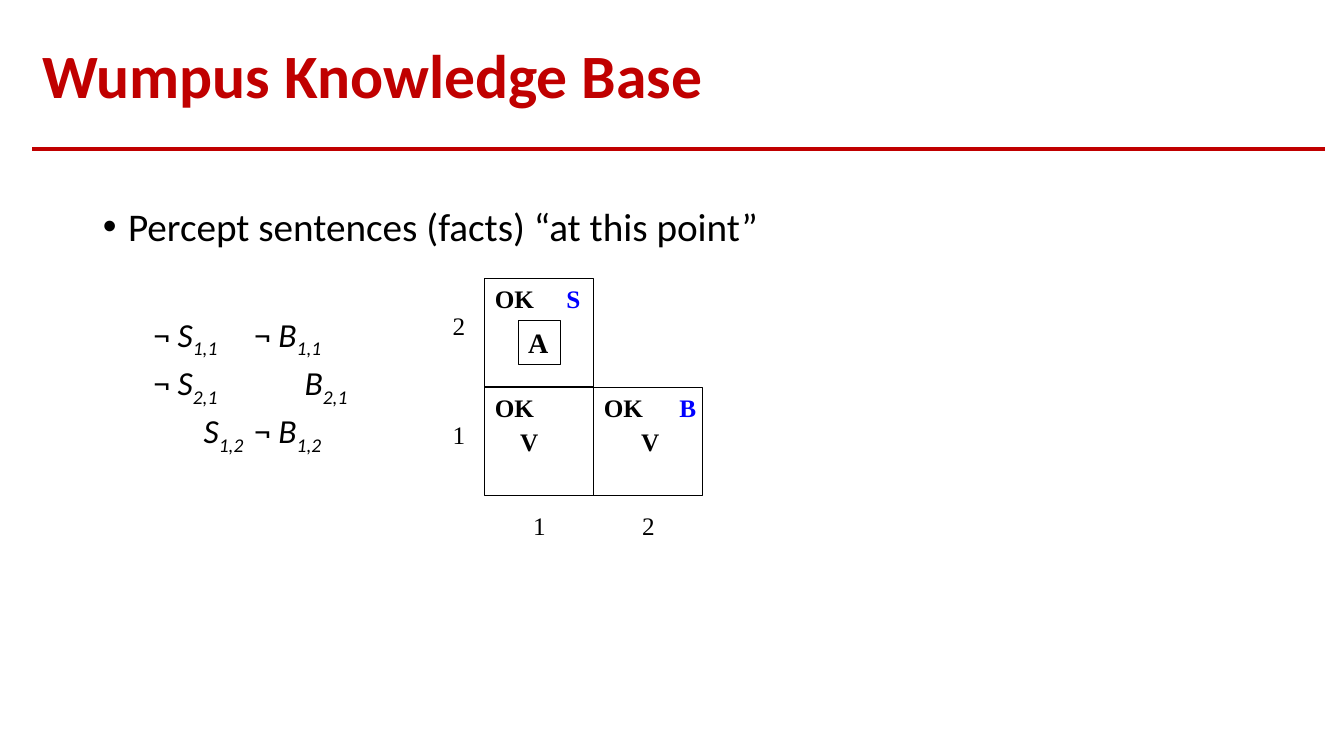
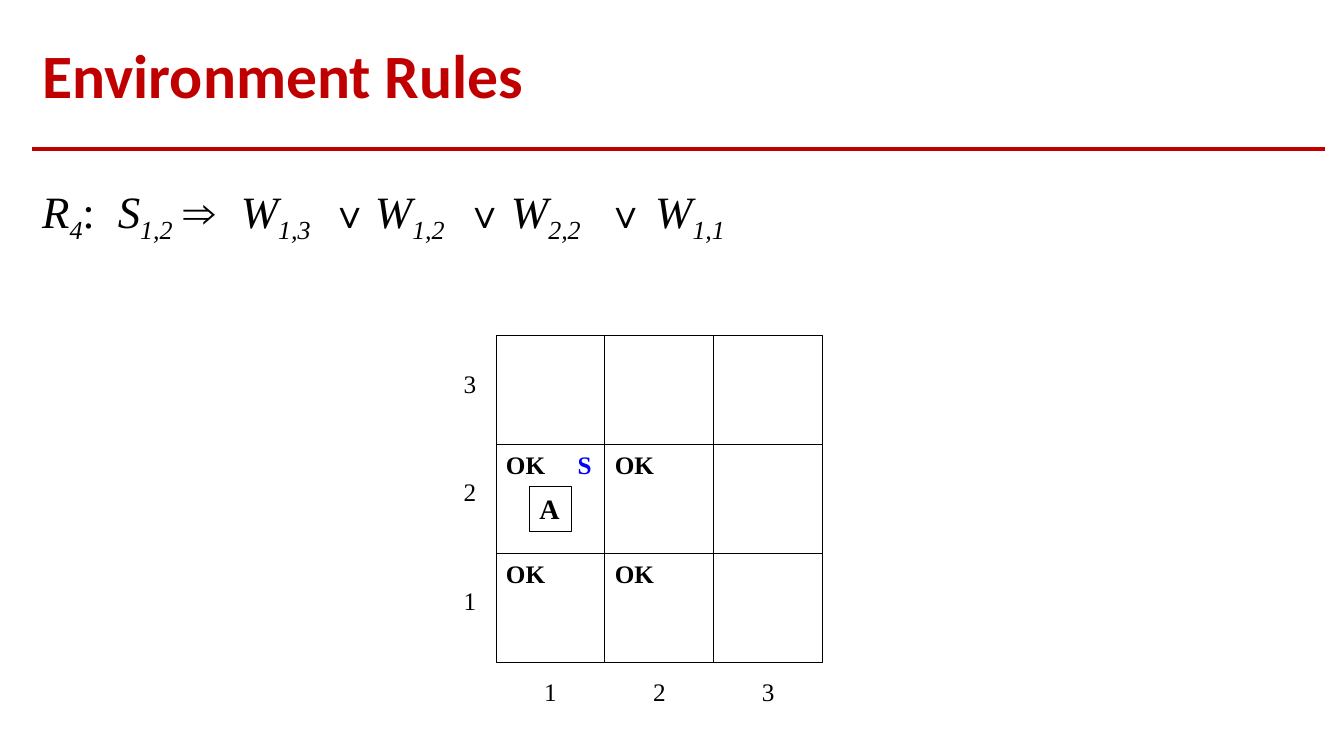
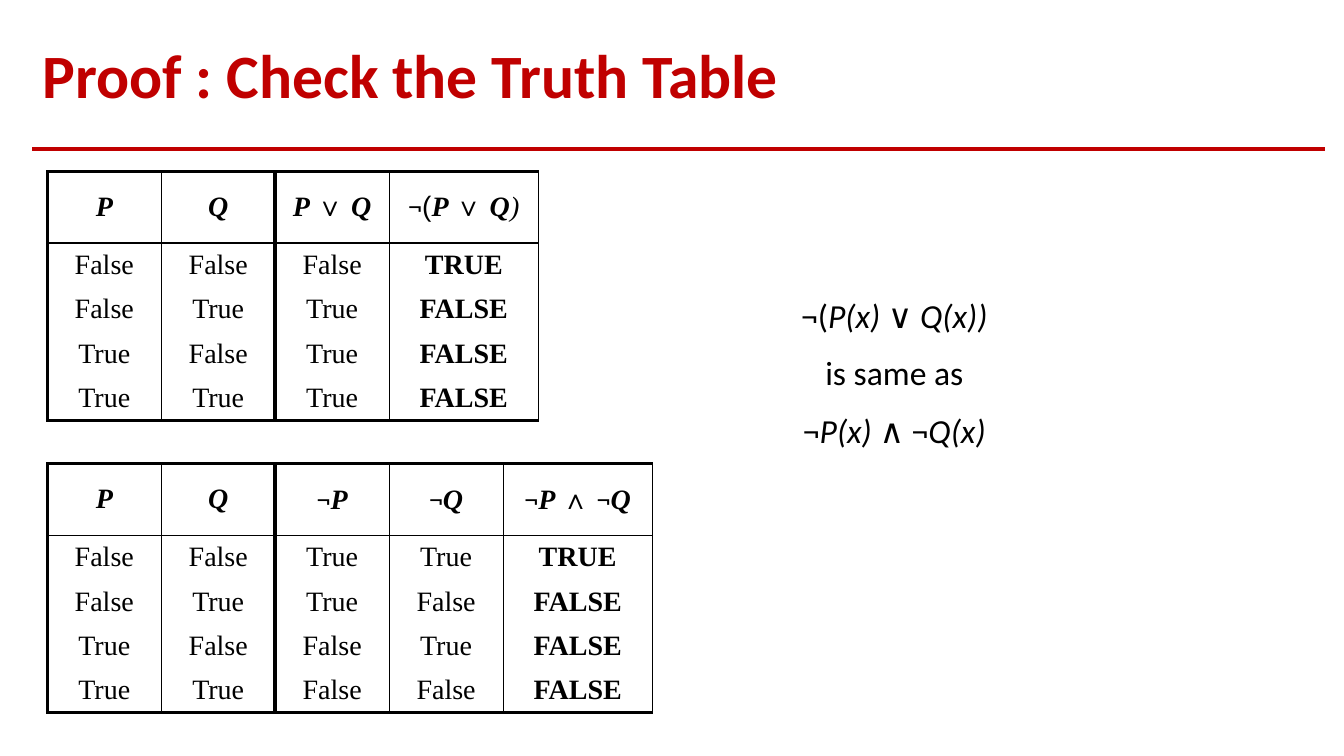
from dataclasses import dataclass, field
from typing import NamedTuple

from lxml.etree import SubElement
from pptx import Presentation
from pptx.dml.color import RGBColor
from pptx.enum.shapes import MSO_CONNECTOR, MSO_SHAPE
from pptx.enum.text import MSO_ANCHOR, PP_ALIGN
from pptx.oxml import parse_xml
from pptx.oxml.ns import nsdecls, qn
from pptx.util import Emu, Inches, Pt

UNIT = Inches(1)


@dataclass(frozen=True)
class Theme:
    """Colours, fonts and type sizes of the deck."""
    accent: str = "C00000"
    ink: str = "000000"
    percept: str = "0000FF"
    paper: str = "FFFFFF"
    sans: str = "Calibri"
    serif: str = "Times New Roman"
    symbol: str = "Arial"
    title: int = 44
    formula: int = 32
    body: int = 28
    detail: int = 24
    cell: int = 20
    mark: int = 18


T = Theme()
TOGGLES = {
    "*": {"italic": True},
    "^": {"bold": True},
    "~": {"name": T.sans},
    "@": {"name": T.symbol},
    "#": {"size": Pt(T.body)},
    "_": {},
}


class Box(NamedTuple):
    """Left, top, width and height in columns and rows of a one-inch grid."""
    col: float
    row: float
    cols: float
    rows: float

    def emu(self) -> tuple[Emu, ...]:
        """Return the four lengths in EMU."""
        return tuple(Emu(round(v * UNIT)) for v in self)


class Mark(NamedTuple):
    """Text in a board square, with its offset from the square's corner."""
    text: str
    square: tuple[int, int]
    dx: float = 0
    dy: float = 0
    color: str = T.ink


@dataclass(frozen=True)
class Board:
    """A cave map whose squares are numbered from the bottom left."""
    left: float
    top: float
    size: int
    squares: list[tuple[int, int]]
    agent: tuple[int, int]
    marks: list[Mark] = field(default_factory=list)
    step: float = 1.08

    def corner(self, col: int, row: int) -> tuple[float, float]:
        """Return the top left corner of a square."""
        return self.left + (col - 1) * self.step, self.top + (self.size - row) * self.step


class Truth(NamedTuple):
    """A truth table with its place, headings and values."""
    col: float
    row: float
    heads: list[str]
    rows: list[str]


TITLE = Box(0.32, 0.28, 12.82, 1)
PERCEPTS = Box(0.92, 2.01, 12.22, 4.74)
FORMULA = Box(0.32, 1.77, 9.7, 0.7)
EQUIVALENCE = Box(6.37, 2.88, 5, 1.65)
PERCEPT_TABS = [0.83, 0.97, 1.83, 2.05]
FORMULA_TABS = [0.75, 1.4, 1.97, 2.86, 3.3, 4.2, 4.65, 5.6, 6.08]


def write(p, text: str, size: int, font: str, color: str = T.ink, **extra) -> None:
    """Add runs to a paragraph, switching formats at toggle signs; a bar is a tab."""
    on: set[str] = set()
    piece = ""
    for ch in text + "_":
        if ch not in TOGGLES:
            piece += chr(9) if ch == "|" else ch
            continue
        if piece:
            r = p.add_run()
            r.text = piece
            fmt = {"size": Pt(size), "name": font, "bold": False, "italic": False, **extra}
            for sign in on:
                fmt.update(TOGGLES[sign])
            for key, value in fmt.items():
                setattr(r.font, key, value)
            r.font.color.rgb = RGBColor.from_string(color)
            if "_" in on:
                r._r.get_or_add_rPr().set("baseline", "-25000")
            piece = ""
        on ^= {ch}


def set_tabs(p, stops: list[float]) -> None:
    """Give a paragraph left tab stops."""
    tabs = SubElement(p._p.get_or_add_pPr(), qn("a:tabLst"))
    for stop in stops:
        SubElement(tabs, qn("a:tab"), pos=str(Inches(stop)), algn="l")


def set_indent(p, left: float, first: float) -> None:
    """Set the left margin and the first line indent."""
    pPr = p._p.get_or_add_pPr()
    pPr.set("marL", str(Inches(left)))
    pPr.set("indent", str(Inches(first)))


def add_text(s, box: Box, text: str, size: int, font: str, color: str = T.ink,
             align=PP_ALIGN.LEFT, wrap: bool = True, **extra):
    """Add a text box with one paragraph and return that paragraph."""
    tf = s.shapes.add_textbox(*box.emu()).text_frame
    tf.word_wrap = wrap
    p = tf.paragraphs[0]
    p.alignment = align
    write(p, text, size, font, color, **extra)
    return p


def add_square(s, box: Box, filled: bool = True):
    """Add an outlined square."""
    sp = s.shapes.add_shape(MSO_SHAPE.RECTANGLE, *box.emu())
    sp.shadow.inherit = False
    if filled:
        sp.fill.solid()
        sp.fill.fore_color.rgb = RGBColor.from_string(T.paper)
    else:
        sp.fill.background()
    sp.line.color.rgb = RGBColor.from_string(T.ink)
    sp.line.width = Pt(0.75)
    return sp


def add_board(s, b: Board) -> None:
    """Draw the squares, marks, agent and axis numbers of a board."""
    for square in b.squares:
        add_square(s, Box(*b.corner(*square), b.step, b.step))
    for m in b.marks:
        x, y = b.corner(*m.square)
        add_text(s, Box(x + m.dx, y + m.dy, 0.67, 0.4), m.text, T.mark, T.serif, m.color,
                 wrap=False, bold=True)
    x, y = b.corner(*b.agent)
    tf = add_square(s, Box(x + 0.33, y + 0.42, 0.42, 0.44), filled=False).text_frame
    tf.vertical_anchor = MSO_ANCHOR.TOP
    tf.paragraphs[0].alignment = PP_ALIGN.LEFT
    write(tf.paragraphs[0], "A", T.cell, T.serif, bold=True)
    for n in range(1, b.size + 1):
        x, y = b.corner(n, n)
        add_text(s, Box(b.left - 0.42, y + 0.27, 0.5, 0.4), str(n), T.mark, T.serif)
        add_text(s, Box(x, b.top + b.size * b.step + 0.09, b.step, 0.4), str(n), T.mark,
                 T.serif, align=PP_ALIGN.CENTER)


def set_borders(cell, widths: dict[str, float]) -> None:
    """Give a cell its four borders; a zero width draws none."""
    tcPr = cell._tc.get_or_add_tcPr()
    for i, (side, width) in enumerate(widths.items()):
        paint = f'<a:solidFill><a:srgbClr val="{T.ink}"/></a:solidFill>' if width else "<a:noFill/>"
        tcPr.insert(i, parse_xml(
            f'<a:ln{side} {nsdecls("a")} w="{Pt(width)}">{paint}</a:ln{side}>'))


def add_truth(s, t: Truth) -> None:
    """Draw a truth table whose last column holds the result."""
    cols = [1.13] * (len(t.heads) - 1) + [1.48]
    heights = [0.71] + [0.44] * len(t.rows)
    box = Box(t.col, t.row, sum(cols), sum(heights))
    tbl = s.shapes.add_table(len(heights), len(cols), *box.emu()).table
    tbl.first_row = tbl.horz_banding = False
    for column, width in zip(tbl.columns, cols):
        column.width = Inches(width)
    for row, height in zip(tbl.rows, heights):
        row.height = Inches(height)
    edges = [2.25, 0.75, 3] + [0.75] * (len(cols) - 2)
    levels = [2.25, 1] + [0] * (len(t.rows) - 1) + [2.25]
    for i, texts in enumerate([t.heads] + [row.split() for row in t.rows]):
        for j, text in enumerate(texts):
            cell = tbl.cell(i, j)
            cell.fill.background()
            set_borders(cell, {"L": edges[j], "R": edges[j + 1],
                               "T": levels[i], "B": levels[i + 1]})
            cell.vertical_anchor = MSO_ANCHOR.MIDDLE
            p = cell.text_frame.paragraphs[0]
            p.alignment = PP_ALIGN.CENTER
            write(p, text, T.cell, T.serif, bold=i > 0 and j == len(cols) - 1)


def add_slide(prs, layout: int, title: str):
    """Add a slide with the deck's title style."""
    s = prs.slides.add_slide(prs.slide_layouts[layout])
    sp = s.shapes.title
    sp.left, sp.top, sp.width, sp.height = TITLE.emu()
    sp.text_frame.vertical_anchor = MSO_ANCHOR.MIDDLE
    p = sp.text_frame.paragraphs[0]
    p.alignment = PP_ALIGN.LEFT
    p.line_spacing = 0.9
    write(p, title, T.title, T.sans, T.accent, bold=True)
    return s


def add_master_rule(prs, s) -> None:
    """Draw the rule under the title and move it to the master."""
    x, y, w, _ = Box(TITLE.col, 1.48, TITLE.cols, 0).emu()
    rule = s.shapes.add_connector(MSO_CONNECTOR.STRAIGHT, x, y, x + w, y)
    rule.line.color.rgb = RGBColor.from_string(T.accent)
    rule.line.width = Pt(2.5)
    SubElement(rule.element.spPr, qn("a:effectLst"))
    rule.element[0][0].set("id", "20")
    prs.slide_master.shapes.element.append(rule.element)


def knowledge_slide(prs) -> None:
    """Build the slide with the percept sentences."""
    s = add_slide(prs, 1, "Wumpus Knowledge Base")
    add_master_rule(prs, s)
    body = s.placeholders[1]
    body.left, body.top, body.width, body.height = PERCEPTS.emu()
    tf = body.text_frame
    p = tf.paragraphs[0]
    p.line_spacing, p.space_before = 0.9, Pt(0)
    set_indent(p, 0.25, -0.25)
    write(p, "Percept sentences (facts) “at this point”", T.body, T.sans)
    facts = ["|¬ *S_1,1_*|¬ *B_1,1_*", "|¬ *S_2,1_*||*B_2,1_*", "||*S_1,2_*|¬ *B_1,2_*"]
    for i, fact in enumerate(facts):
        p = tf.add_paragraph()
        p.level = 1
        p.line_spacing, p.space_before = 0.9, Pt(5 if i else 46)
        set_indent(p, 0, 0)
        SubElement(p._p.get_or_add_pPr(), qn("a:buNone"))
        set_tabs(p, PERCEPT_TABS)
        write(p, fact, T.detail, T.sans)
    known = [(1, 2), (1, 1), (2, 1)]
    add_board(s, Board(4.81, 2.76, 2, known, (1, 2), [Mark("OK", sq) for sq in known] + [
        Mark("S", (1, 2), 0.71, 0, T.percept),
        Mark("B", (2, 1), 0.75, 0, T.percept),
        Mark("V", (1, 1), 0.25, 0.34),
        Mark("V", (2, 1), 0.37, 0.34),
    ]))


def rules_slide(prs) -> None:
    """Build the slide with the stench rule."""
    s = add_slide(prs, 5, "Environment Rules")
    squares = [(col, row) for col in (1, 2, 3) for row in (3, 2, 1)]
    safe = [sq for sq in squares if max(sq) < 3]
    add_board(s, Board(4.92, 3.33, 3, squares, (1, 2), [Mark("OK", sq) for sq in safe] + [
        Mark("S", (1, 2), 0.71, 0, T.percept)]))
    rule = "*R_4_*:|*S_1,2_*|⇒|*W_1,3_*|#∨#|*W_1,2_*|#∨#|*W_2,2_*|#∨#|*W_1,1_*"
    set_tabs(add_text(s, FORMULA, rule, T.formula, T.serif), FORMULA_TABS)


def proof_slide(prs) -> None:
    """Build the slide with both truth tables."""
    s = add_slide(prs, 5, "Proof : Check the Truth Table")
    add_truth(s, Truth(0.47, 1.7, [
        "^*P*^", "^*Q*^", "^*P *^∨ ^*Q*^", "~¬~@(@^*P *^∨ ^*Q^)*"], [
        "False False False TRUE",
        "False True True FALSE",
        "True False True FALSE",
        "True True True FALSE"]))
    add_truth(s, Truth(0.47, 4.6, [
        "^*P*^", "^*Q*^", "~¬~^*P*^", "~¬~^*Q*^", "~¬~^*P *^∧ ~¬~^*Q*^"], [
        "False False True True TRUE",
        "False True True False FALSE",
        "True False False True FALSE",
        "True True False False FALSE"]))
    first, *others = ["¬(*P(x)* ∨ *Q(x))*", "is same as", "¬*P(x)* ∧ ¬*Q(x)*"]
    p = add_text(s, EQUIVALENCE, first, T.detail, T.sans, align=PP_ALIGN.CENTER)
    tf = s.shapes[-1].text_frame
    for line in others:
        p = tf.add_paragraph()
        p.alignment = PP_ALIGN.CENTER
        p.space_before = Pt(12)
        write(p, line, T.detail, T.sans)


def main() -> None:
    """Build and save the deck."""
    prs = Presentation()
    prs.slide_width, prs.slide_height = Inches(13.33), Inches(7.5)
    for build in (knowledge_slide, rules_slide, proof_slide):
        build(prs)
    prs.save("out.pptx")


if __name__ == "__main__":
    main()
